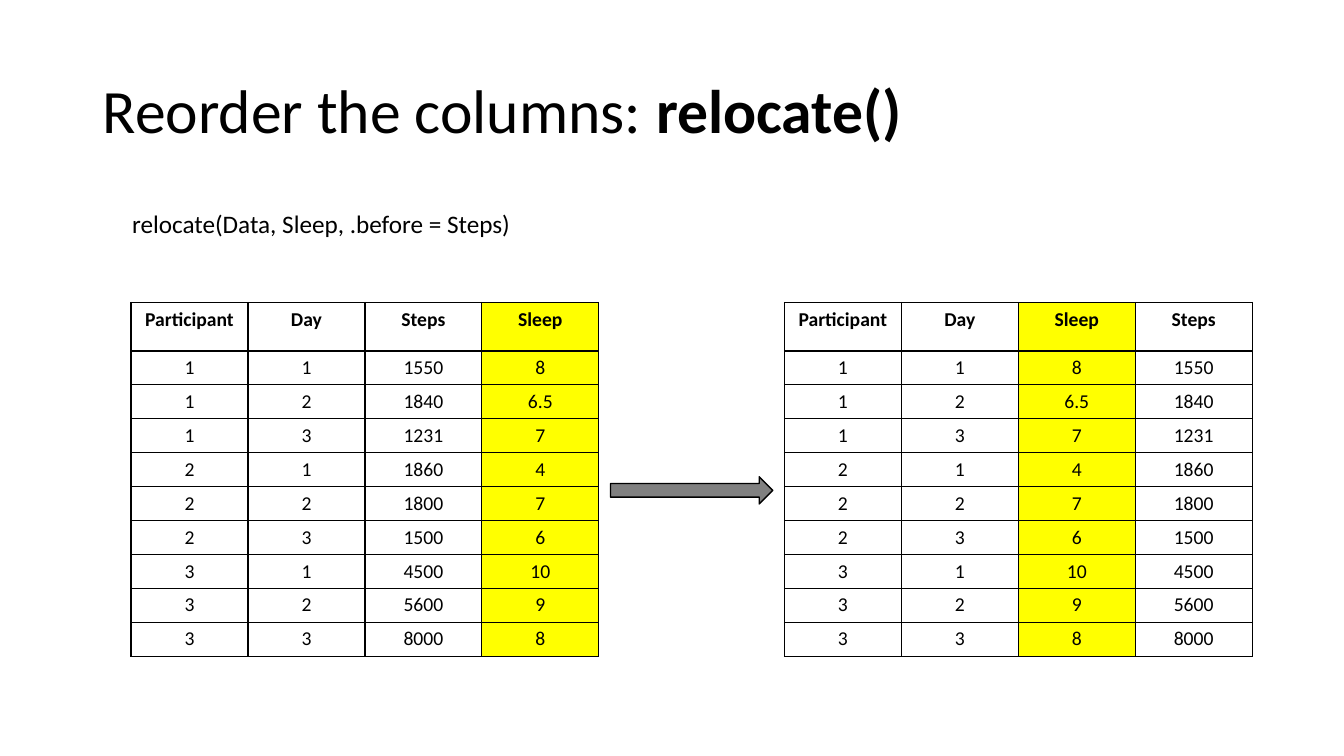
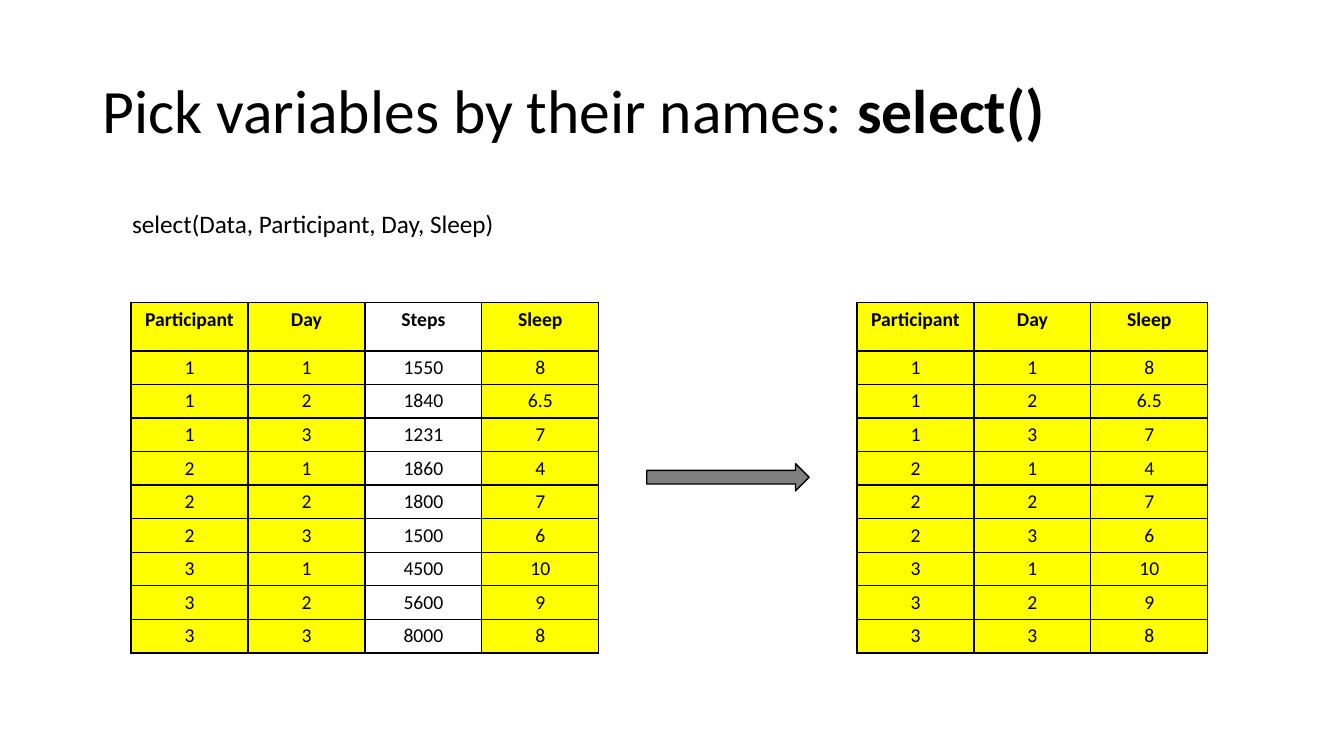
from dataclasses import dataclass

from lxml.etree import SubElement as Sub
from pptx import Presentation as Deck
from pptx.dml.color import RGBColor as Rgb
from pptx.enum.shapes import MSO_SHAPE as Form
from pptx.enum.text import MSO_ANCHOR as Anchor, PP_ALIGN as Align
from pptx.oxml.ns import qn
from pptx.util import Inches, Pt


@dataclass(frozen=True)
class Theme:
    font: str = "Calibri"
    ink: str = "000000"
    paper: str = "FFFFFF"
    mark: str = "FFFF00"
    steel: str = "808080"
    head: int = 44
    code: int = 18
    cell: int = 14
    thin: int = 1
    thick: int = 2


LEFT, TOP, COL, HEAD = 1.3, 3, 1.16, 0.48
DATA = {
    "Participant": [1, 1, 1, 2, 2, 2, 3, 3, 3],
    "Day": [1, 2, 3, 1, 2, 3, 1, 2, 3],
    "Steps": [1550, 1840, 1231, 1860, 1800, 1500, 4500, 5600, 8000],
    "Sleep": [8, 6.5, 7, 4, 7, 6, 10, 9, 8],
}


def put(item, vals):
    for name, val in vals.items():
        setattr(item, name, val)


class Maker:
    def __init__(self, theme):
        self.theme = theme
        self.deck = Deck()
        put(self.deck, {"slide_width": Inches(13.33), "slide_height": Inches(7.5)})
        self.slide = None

    def page(self):
        self.slide = self.deck.slides.add_slide(self.deck.slide_layouts[6])

    def paint(self, fill, tone):
        fill.solid()
        fill.fore_color.rgb = Rgb.from_string(tone)

    def words(self, para, text, size, bold=False):
        run = para.add_run()
        run.text = text
        put(run.font, {"name": self.theme.font, "size": Pt(size), "bold": bold})
        run.font.color.rgb = Rgb.from_string(self.theme.ink)

    def box(self, area, **vals):
        frame = self.slide.shapes.add_textbox(*map(Inches, area)).text_frame
        put(frame, {"word_wrap": True, **vals})
        return frame.paragraphs[0]

    def title(self, text, call):
        para = self.box((0.92, 0.4, 11.5, 1.45), vertical_anchor=Anchor.MIDDLE)
        para.line_spacing = 0.9
        self.words(para, text, self.theme.head)
        self.words(para, call, self.theme.head, True)

    def code(self, text):
        para = self.box((1.16, 2.02, 11.99, 0.4), margin_left=Inches(0.15))
        self.words(para, text, self.theme.code)

    def edge(self, cell, base):
        props = cell._tc.get_or_add_tcPr()
        for side in "LRTB":
            width = base if side == "B" else self.theme.thin
            line = Sub(props, qn(f"a:ln{side}"), w=str(Pt(width)))
            fill = Sub(line, qn("a:solidFill"))
            Sub(fill, qn("a:srgbClr"), val=self.theme.ink)

    def grid(self, left, names, marked, body):
        theme = self.theme
        rows = [names, *zip(*(DATA[name] for name in names))]
        area = (left, TOP, COL * len(names), HEAD + body)
        table = self.slide.shapes.add_table(
            len(rows), len(names), *map(Inches, area)).table
        put(table, {"first_row": False, "horz_banding": False})
        for col in table.columns:
            col.width = Inches(COL)
        for i, row in enumerate(rows):
            first = i == 0
            table.rows[i].height = Inches(HEAD if first else body / (len(rows) - 1))
            pad = Inches(0.05 if first else 0.04)
            for j, val in enumerate(row):
                cell = table.cell(i, j)
                put(cell, {
                    "margin_top": pad,
                    "margin_bottom": pad,
                    "vertical_anchor": Anchor.TOP if first else Anchor.MIDDLE,
                })
                self.edge(cell, theme.thick if first else theme.thin)
                self.paint(cell.fill, theme.mark if names[j] in marked else theme.paper)
                para = cell.text_frame.paragraphs[0]
                para.alignment = Align.CENTER
                self.words(para, str(val), theme.cell, first)

    def arrow(self, start, end, top):
        wide = 1.61
        area = ((start + end - wide) / 2, top, wide, 0.27)
        shape = self.slide.shapes.add_shape(Form.RIGHT_ARROW, *map(Inches, area))
        shape.shadow.inherit = False
        self.paint(shape.fill, self.theme.steel)
        self.paint(shape.line.fill, self.theme.ink)
        shape.line.width = Pt(self.theme.thin)

    def verb(self, text, call, code, names, marked, left, top, body):
        self.page()
        self.title(text, call)
        self.code(code)
        self.grid(LEFT, list(DATA), marked, body)
        self.grid(left, names, marked, body)
        self.arrow(LEFT + COL * len(DATA), left, top)


def main():
    maker = Maker(Theme())
    maker.verb("Reorder the columns: ", "relocate()",
               "relocate(Data, Sleep, .before = Steps)",
               ["Participant", "Day", "Sleep", "Steps"], ["Sleep"],
               left=7.78, top=4.73, body=3.03)
    kept = ["Participant", "Day", "Sleep"]
    maker.verb("Pick variables by their names: ", "select()",
               "select(Data, Participant, Day, Sleep)",
               kept, kept, left=8.5, top=4.6, body=3)
    maker.deck.save("out.pptx")


if __name__ == "__main__":
    main()
